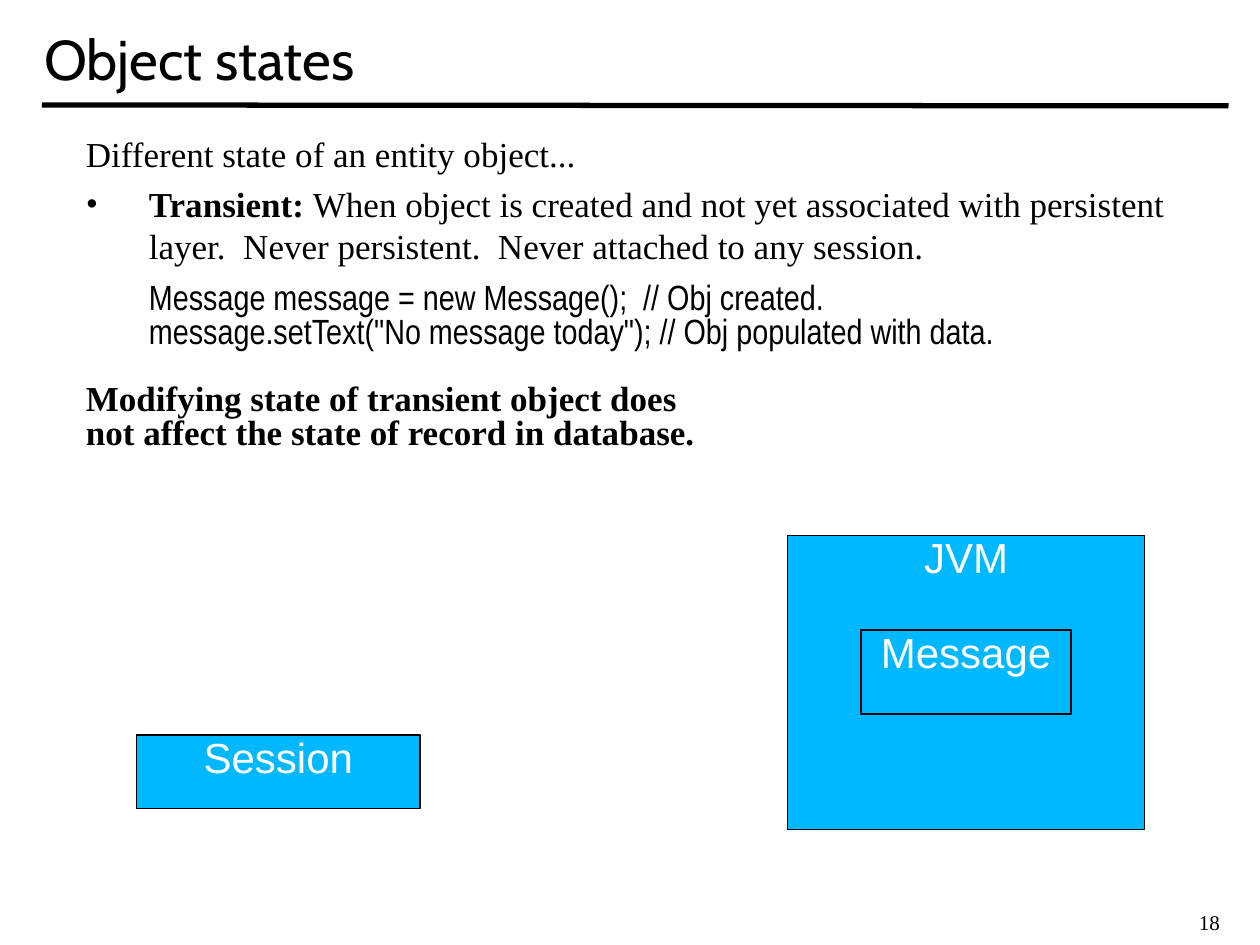
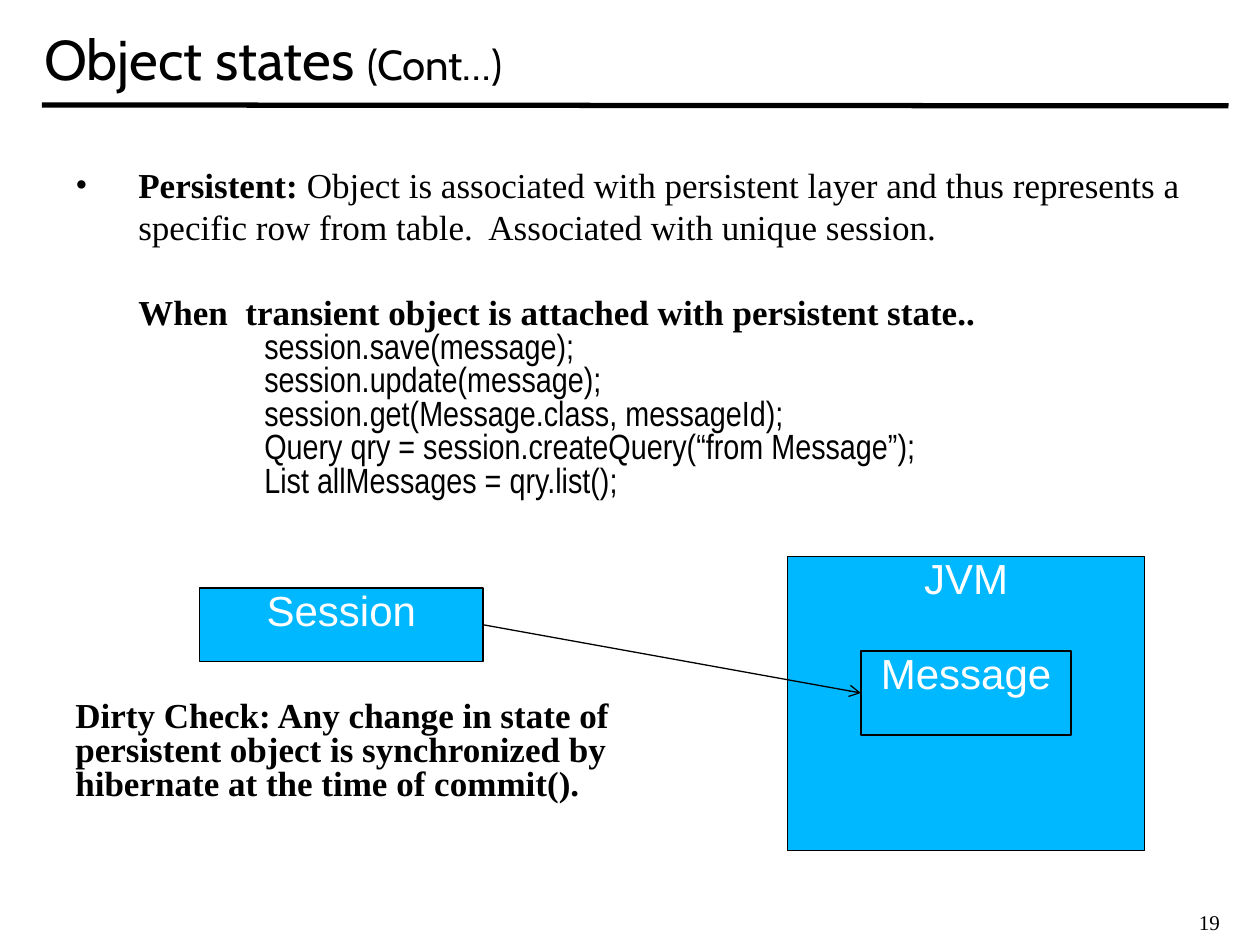
from lxml import etree
from pptx import Presentation
from pptx.dml.color import RGBColor
from pptx.enum.shapes import MSO_CONNECTOR as Connector, MSO_SHAPE as Preset
from pptx.enum.text import MSO_ANCHOR as Anchor, MSO_AUTO_SIZE as AutoSize, PP_ALIGN as Align
from pptx.oxml import parse_xml
from pptx.oxml.ns import nsdecls, qn
from pptx.util import Pt

BLACK, WHITE, BLUE = "000000", "FFFFFF", "00B8FF"
SERIF, CODE, SANS, HEADING = "Times New Roman", "Arial Narrow", "Arial", "Cabin"
FIRST_NUMBER = 18
TIGHT = 0.8


def colour(value):
    """Turn a hex string into a colour."""
    return RGBColor.from_string(value)


def set_font(font, name, size, value=BLACK, bold=False):
    """Format a font."""
    font.name, font.size, font.bold = name, Pt(size), bold
    font.color.rgb = colour(value)


def add_line(slide, start, end, width):
    """Draw a straight black line without a shadow."""
    line = slide.shapes.add_connector(Connector.STRAIGHT, *map(Pt, start + end))
    line.line.color.rgb = colour(BLACK)
    line.line.width = Pt(width)
    etree.SubElement(line._element.spPr, qn("a:effectLst"))
    return line


def add_text_frame(slide, box):
    """Add a wrapping text box and return its frame."""
    frame = slide.shapes.add_textbox(*map(Pt, box)).text_frame
    frame.word_wrap = True
    return frame


def add_frame(presentation, title_runs):
    """Add a slide with its title, rule and page number."""
    slide = presentation.slides.add_slide(presentation.slide_layouts[5])
    title = slide.shapes.title
    title.left, title.top, title.width, title.height = map(Pt, (18, 0, 684, 66))
    frame = title.text_frame
    frame.vertical_anchor, frame.auto_size = Anchor.MIDDLE, AutoSize.NONE
    paragraph = frame.paragraphs[0]
    paragraph.alignment = Align.LEFT
    for text, size in title_runs:
        run = paragraph.add_run()
        run.text = text
        set_font(run.font, HEADING, size)

    add_line(slide, (24, 60), (702, 60.5), 3)

    number = FIRST_NUMBER + len(presentation.slides) - 1
    paragraph = add_text_frame(slide, (678, 516, 39, 21.6)).paragraphs[0]
    paragraph._p.append(parse_xml(
        f'<a:fld {nsdecls("a")} id="{{B6F15528-21DE-4FAA-801E-634DDDAF4B2B}}" type="slidenum">'
        f'<a:rPr lang="en-US" sz="1200"><a:solidFill><a:srgbClr val="{BLACK}"/></a:solidFill>'
        f'<a:latin typeface="{SERIF}"/></a:rPr><a:t>{number}</a:t></a:fld>'))
    return slide


def add_body(slide, box, items):
    """Fill a text box from (runs, font, left margin, space before, line spacing, bullet)."""
    frame = add_text_frame(slide, box)
    for index, (runs, name, margin, before, spacing, bullet) in enumerate(items):
        paragraph = frame.add_paragraph() if index else frame.paragraphs[0]
        paragraph.line_spacing = spacing
        if before:
            paragraph.space_before = Pt(before)
        properties = paragraph._p.get_or_add_pPr()
        properties.set("marL", str(Pt(margin)))
        properties.set("indent", str(Pt(-margin if bullet else 0)))
        if bullet:
            etree.SubElement(properties, qn("a:buFont"), typeface=SERIF)
            etree.SubElement(properties, qn("a:buChar"), char="•")
        else:
            etree.SubElement(properties, qn("a:buNone"))
        set_font(paragraph.font, name, 20)
        for text, bold in runs:
            run = paragraph.add_run()
            run.text = text
            run.font.bold = bold


def bullet_item(term, text, before=0):
    """Describe a bulleted definition."""
    return [(term, True), (text, False)], SERIF, 36, before, 1, True


def code_item(text, margin, before=0, spacing=TIGHT):
    """Describe a line of code."""
    return [(text, False)], CODE, margin, before, spacing, False


def strong_item(text, margin=0, before=0):
    """Describe a tightly set bold line."""
    return [(text, True)], SERIF, margin, before, TIGHT, False


def add_block(shapes, label, box):
    """Draw a labelled blue rectangle."""
    shape = shapes.add_shape(Preset.RECTANGLE, *map(Pt, box))
    shape.shadow.inherit = False
    shape.fill.solid()
    shape.fill.fore_color.rgb = colour(BLUE)
    shape.line.color.rgb = colour(BLACK)
    shape.line.width = Pt(0.75)
    shape.text_frame.vertical_anchor = Anchor.TOP
    paragraph = shape.text_frame.paragraphs[0]
    paragraph.text = label
    paragraph.alignment, paragraph.line_spacing = Align.CENTER, TIGHT
    set_font(paragraph.font, SANS, 24, WHITE)
    return shape


def add_session(slide, left, top):
    """Draw the session block."""
    return add_block(slide.shapes, "Session", (left, top, 162, 42))


def add_jvm(slide, left, top):
    """Draw the JVM with the message inside and return the message."""
    group = slide.shapes.add_group_shape()
    add_block(group.shapes, "JVM", (left, top, 204, 168))
    return add_block(group.shapes, "Message", (left + 42, top + 54, 120, 48))


def add_arrow(slide, source, target):
    """Point from the right side of one block to the left side of another."""
    arrow = add_line(slide, (0, 0), (1, 1), 0.75)
    arrow.begin_connect(source, 3)
    arrow.end_connect(target, 1)
    etree.SubElement(arrow.line._get_or_add_ln(), qn("a:tailEnd"), type="arrow")


def build_transient(presentation):
    """Build the slide on the transient state."""
    slide = add_frame(presentation, [("Object states", 32)])
    add_body(slide, (42, 72, 636, 420), [
        ([("Different state of an entity object...", False)], SERIF, 0, 0, 1, False),
        bullet_item("Transient: ", "When object is created and not yet associated with persistent "
                    "layer.  Never persistent.  Never attached to any session.", 5),
        code_item("Message message = new Message();  // Obj created.", 36, 5, 1),
        code_item('message.setText("No message today"); // Obj populated with data.', 36),
        strong_item("Modifying state of transient object does", before=19.2),
        strong_item("not affect the state of record in database."),
    ])
    add_session(slide, 78, 420)
    add_jvm(slide, 450, 306)


def build_persistent(presentation):
    """Build the slide on the persistent state."""
    slide = add_frame(presentation, [("Object states ", 32), ("(Cont…)", 24)])
    calls = ["session.save(message);", "session.update(message);",
             "session.get(Message.class, messageId);",
             "Query qry = session.createQuery(“from Message”);",
             "List allMessages = qry.list();"]
    add_body(slide, (36, 90, 648, 392), [
        bullet_item("Persistent: ", "Object is associated with persistent layer and thus represents "
                    "a specific row from table.  Associated with unique session."),
        strong_item("When  transient object is attached with persistent state..", 36, 29),
        *[code_item(call, 108) for call in calls],
        strong_item("Dirty Check: Any change in state of", before=115.2),
        strong_item("persistent object is synchronized by"),
        strong_item("hibernate at the time of commit()."),
    ])
    session = add_session(slide, 114, 336)
    message = add_jvm(slide, 450, 318)
    add_arrow(slide, session, message)


def main():
    """Build and save the presentation."""
    presentation = Presentation()
    presentation.slide_width, presentation.slide_height = Pt(720), Pt(540)
    presentation.element.set("firstSlideNum", str(FIRST_NUMBER))
    build_transient(presentation)
    build_persistent(presentation)
    presentation.save("out.pptx")


if __name__ == "__main__":
    main()
